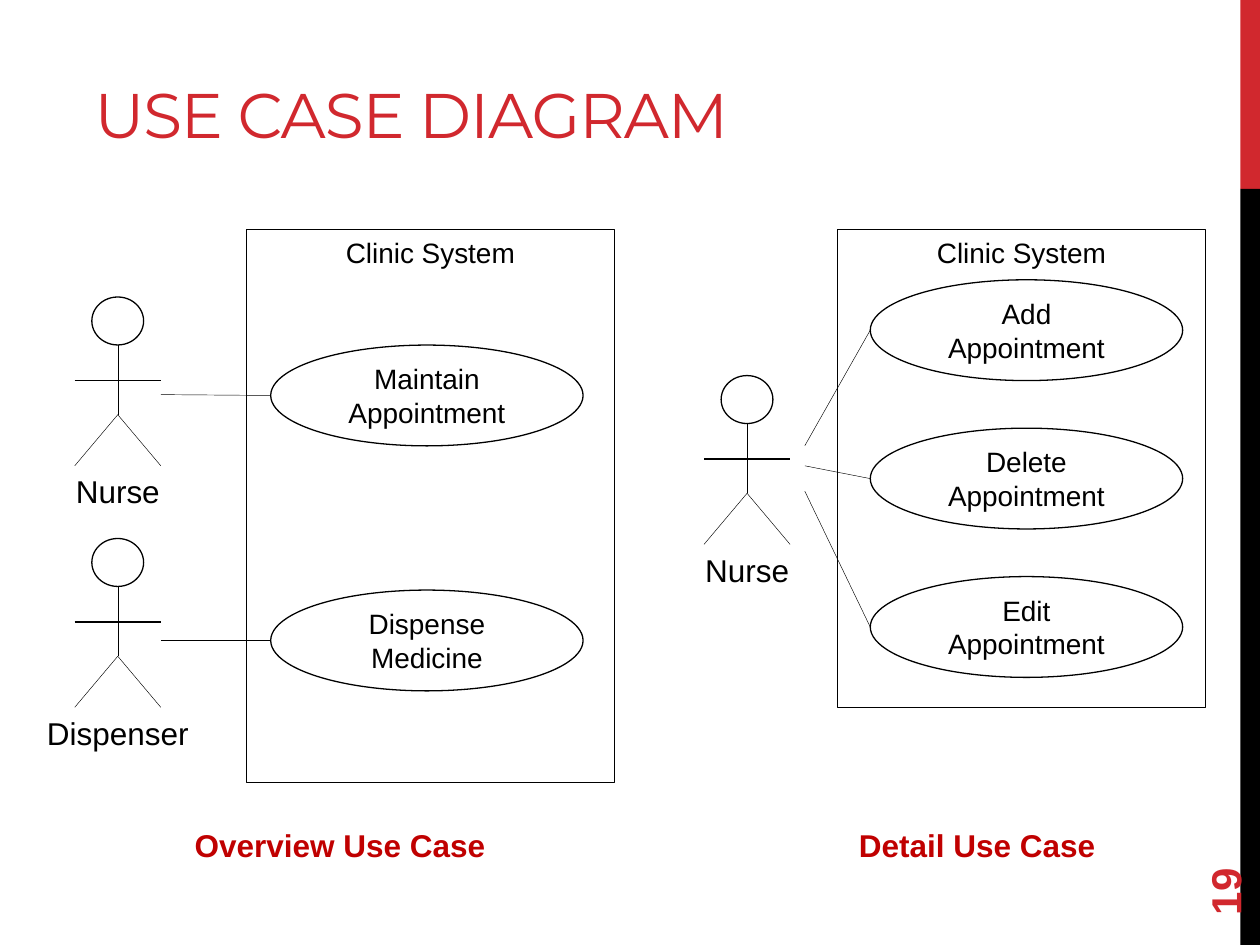
from lxml import etree
from pptx import Presentation
from pptx.dml.color import RGBColor
from pptx.enum.shapes import MSO_CONNECTOR, MSO_SHAPE
from pptx.enum.text import MSO_ANCHOR, PP_ALIGN
from pptx.oxml.ns import qn
from pptx.util import Pt

RECTANGLE, OVAL = MSO_SHAPE.RECTANGLE, MSO_SHAPE.OVAL
STRAIGHT = MSO_CONNECTOR.STRAIGHT
TOP, MIDDLE, BOTTOM = MSO_ANCHOR.TOP, MSO_ANCHOR.MIDDLE, MSO_ANCHOR.BOTTOM
LEFT, CENTER = PP_ALIGN.LEFT, PP_ALIGN.CENTER

RED, DARK_RED, BLACK, WHITE = "D1282E", "C00000", "000000", "FFFFFF"
CASE_WIDTH, CASE_HEIGHT = 178.5, 57.6
ACTOR_WIDTH, ACTOR_HEIGHT = 49.2, 96.5


def color(value):
    return RGBColor.from_string(value)


def write(shape, text, size, fill=BLACK, bold=False, align=CENTER,
          anchor=TOP, font="Arial"):
    frame = shape.text_frame
    frame.word_wrap = True
    frame.vertical_anchor = anchor
    paragraph = frame.paragraphs[0]
    paragraph.alignment = align
    run = paragraph.add_run()
    run.text = text
    run.font.name = font
    run.font.size = Pt(size)
    run.font.bold = bold
    run.font.color.rgb = color(fill)
    return run


def add_block(slide, kind, left, top, width, height, fill=WHITE, line=BLACK):
    shape = slide.shapes.add_shape(kind, Pt(left), Pt(top), Pt(width), Pt(height))
    shape.shadow.inherit = False
    shape.fill.solid()
    shape.fill.fore_color.rgb = color(fill)
    if line:
        shape.line.color.rgb = color(line)
        shape.line.width = Pt(0.75)
    else:
        shape.line.fill.background()
    return shape


def add_line(slide, start, end, width=0.25):
    points = [Pt(value) for value in (*start, *end)]
    line = slide.shapes.add_connector(STRAIGHT, *points)
    line.line.color.rgb = color(BLACK)
    line.line.width = Pt(width)
    etree.SubElement(line._element.spPr, qn("a:effectLst"))


def add_label(slide, left, top, width, height, text, size, **style):
    box = slide.shapes.add_textbox(Pt(left), Pt(top), Pt(width), Pt(height))
    write(box, text, size, **style)
    return box


def add_actor(slide, left, top, name):
    center, right = left + ACTOR_WIDTH / 2, left + ACTOR_WIDTH
    neck, arms, hip, feet = top + 27.4, top + 47.8, top + 67.3, top + ACTOR_HEIGHT
    add_block(slide, OVAL, center - 14.8, top, 29.6, 27.4)
    add_line(slide, (left, arms), (right, arms), 1)
    add_line(slide, (center, neck), (center, hip))
    for foot in (left, right):
        add_line(slide, (center, hip), (foot, feet))
    add_label(slide, center - 55, feet, 110, 29, name, 18)


def add_system(slide, left, top, width, height, case_left, cases):
    system = add_block(slide, RECTANGLE, left, top, width, height)
    write(system, "Clinic System", 16)
    for name, case_top, start in cases:
        case = add_block(slide, OVAL, case_left, case_top, CASE_WIDTH, CASE_HEIGHT)
        write(case, name, 16, anchor=MIDDLE)
        add_line(slide, start, (case_left, case_top + CASE_HEIGHT / 2))


def add_caption(slide, left, top, text):
    add_label(slide, left, top, 229, 29, text, 18, fill=DARK_RED, bold=True)


def add_overview(slide, left, top):
    nurse_top, dispenser_top = top + 38.5, top + 176.5
    actor_right = left + ACTOR_WIDTH
    add_system(slide, left + 98, top, 210.5, 316, left + 112, [
        ("Maintain Appointment", top + 66, (actor_right, top + 94.3)),
        ("Dispense Medicine", top + 206, (actor_right, top + 234.8)),
    ])
    add_actor(slide, left, nurse_top, "Nurse")
    add_actor(slide, left, dispenser_top, "Dispenser")
    add_caption(slide, left + 39.6, top + 337, "Overview Use Case ")


def add_detail(slide, left, top):
    names = ("Add Appointment", "Delete Appointment", "Edit Appointment")
    starts = (123.5, 135, 149.5)
    cases = [(name, top + 28.7 + 84.8 * index, (left + 57.6, top + start))
             for index, (name, start) in enumerate(zip(names, starts))]
    add_system(slide, left + 76.2, top, 210.5, 273, left + 95, cases)
    add_actor(slide, left, top + 83.4, "Nurse")
    add_caption(slide, left + 44, top + 337, "Detail Use Case ")


def add_title(slide, left, top, width, height):
    title = slide.shapes.title
    title.left, title.top = Pt(left), Pt(top)
    title.width, title.height = Pt(width), Pt(height)
    run = write(title, "USE CASE DIAGRAM", 36, RED, align=LEFT,
                anchor=BOTTOM, font="Montserrat")
    run.font._element.set("spc", "-60")


def add_side_band(slide, left, width, height):
    split = height / 5
    add_block(slide, RECTANGLE, left, 0, width, split, RED, None)
    add_block(slide, RECTANGLE, left, split, width, height - split, BLACK, None)


def main():
    presentation = Presentation()
    presentation.slide_width, presentation.slide_height = Pt(720), Pt(540)
    slide = presentation.slides.add_slide(presentation.slide_layouts[5])
    add_side_band(slide, 708.75, 11.25, 540)
    add_title(slide, 46.8, 0, 648, 90)
    add_overview(slide, 42.7, 131.2)
    add_detail(slide, 402.3, 131.2)
    number = add_label(slide, 648, 463.7, 103.7, 28.8, "19", 24, fill=RED,
                       bold=True, align=LEFT, anchor=MIDDLE)
    number.rotation = 270
    presentation.save("out.pptx")


if __name__ == "__main__":
    main()
